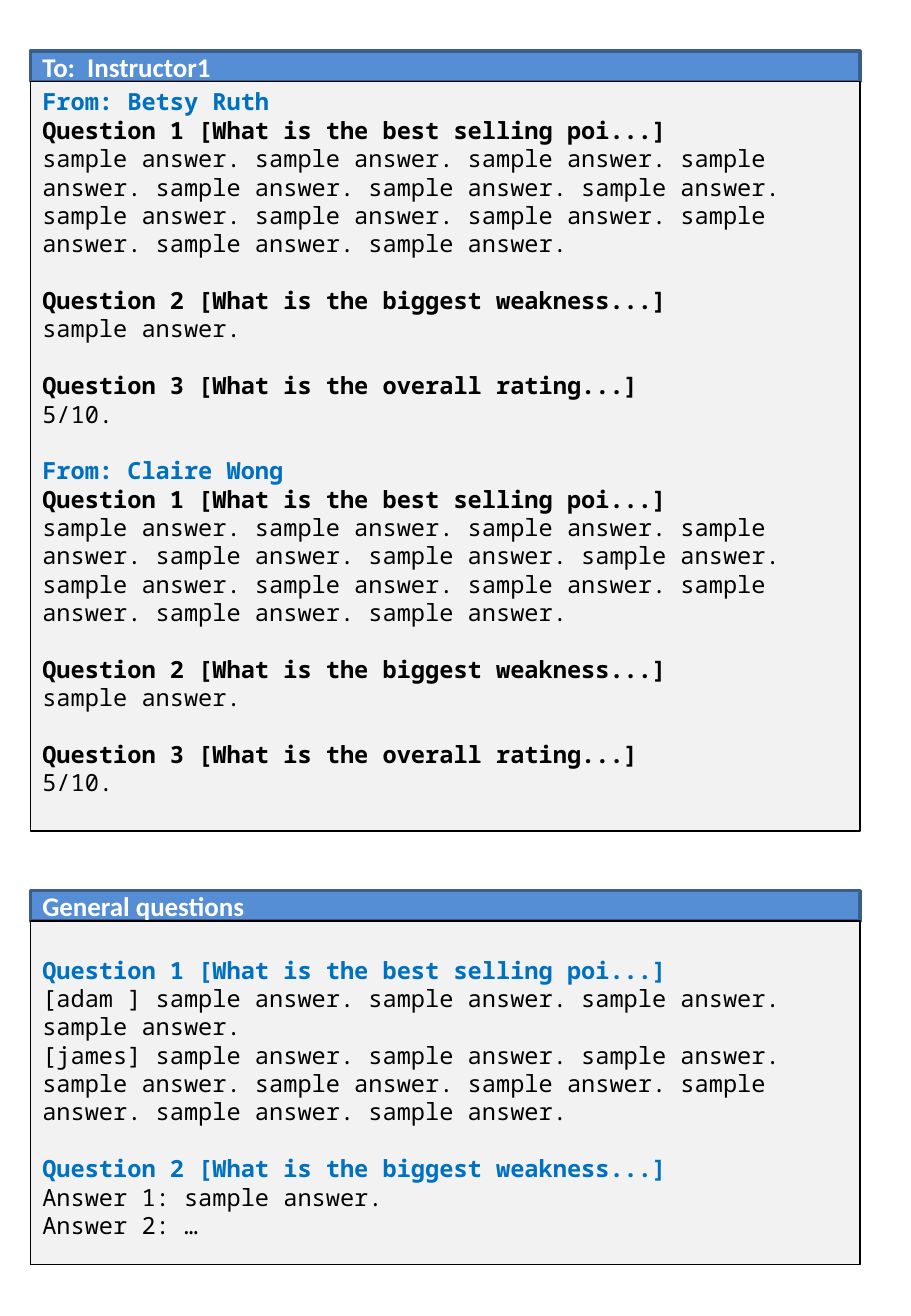
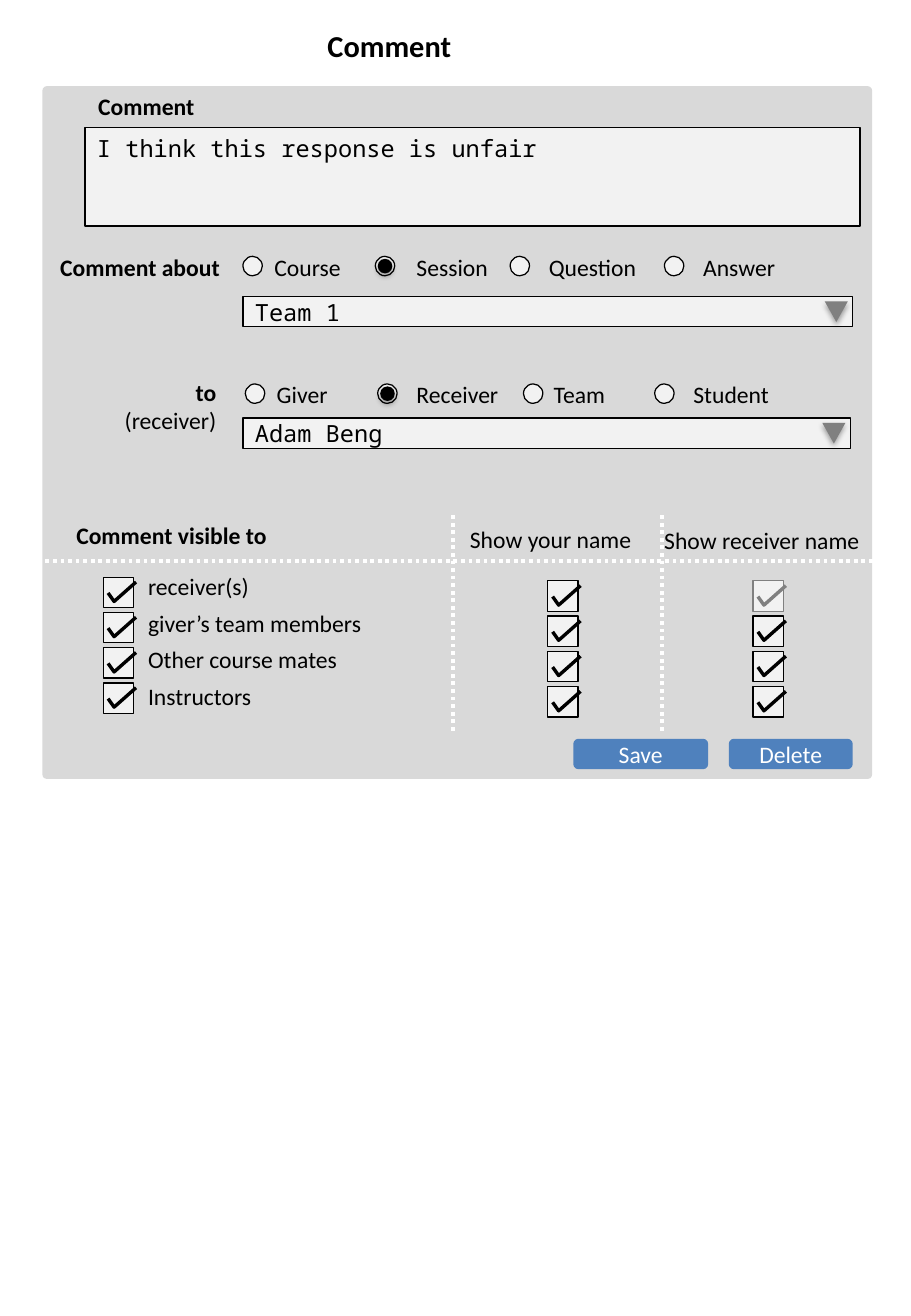
from lxml import etree
from pptx import Presentation
from pptx.dml.color import RGBColor
from pptx.enum.dml import MSO_LINE
from pptx.enum.shapes import MSO_CONNECTOR, MSO_SHAPE
from pptx.enum.text import MSO_ANCHOR, MSO_AUTO_SIZE, PP_ALIGN
from pptx.oxml.ns import qn
from pptx.util import Inches, Pt

# Enum members
RECT, ROUNDED = MSO_SHAPE.RECTANGLE, MSO_SHAPE.ROUNDED_RECTANGLE
CIRCLE, TRIANGLE = MSO_SHAPE.FLOWCHART_CONNECTOR, MSO_SHAPE.ISOSCELES_TRIANGLE
STRAIGHT, DOTTED = MSO_CONNECTOR.STRAIGHT, MSO_LINE.ROUND_DOT
TOP, MIDDLE = MSO_ANCHOR.TOP, MSO_ANCHOR.MIDDLE
LEFT, CENTER, RIGHT = PP_ALIGN.LEFT, PP_ALIGN.CENTER, PP_ALIGN.RIGHT
GROW = MSO_AUTO_SIZE.SHAPE_TO_FIT_TEXT

# Colours and fonts
BLACK = RGBColor(0x00, 0x00, 0x00)
WHITE = RGBColor(0xFF, 0xFF, 0xFF)
GREY = RGBColor(0x80, 0x80, 0x80)
PANEL_GREY = RGBColor(0xD9, 0xD9, 0xD9)
FIELD_GREY = RGBColor(0xF2, 0xF2, 0xF2)
BAND_BLUE = RGBColor(0x55, 0x8E, 0xD5)
BAND_EDGE = RGBColor(0x3A, 0x5F, 0x8C)
BUTTON_BLUE = RGBColor(0x4F, 0x81, 0xBD)
LINK_BLUE = RGBColor(0x00, 0x70, 0xC0)
SANS, MONO = "Calibri", "Noto Sans Mono"

# Measures in inches, type sizes in points
PAGE_WIDTH, PAGE_HEIGHT = 7.5, 10.83
CARD_LEFT, CARD_WIDTH = 0.25, 6.83
ROW_HEIGHT, LABEL_HEIGHT = 0.25, 0.34
BODY_SIZE, BLANK_LINE = 14, 16.8
CHECK_PITCH, LABEL_PITCH = 0.29, 0.3
RADIO_SIZE, DOT_SIZE = 0.16, 0.12

# Wording
ANSWER = "sample answer."
BEST = "Question 1 [What is the best selling poi...]"
WEAKNESS = "Question 2 [What is the biggest weakness...]"
RATING = "Question 3 [What is the overall rating...]"


def answers(count):
    return " ".join([ANSWER] * count)


def line(text, bold=False, colour=BLACK, gap=0):
    """One paragraph: its text, its look and the space before it."""
    return text, bold, colour, gap


def write(shape, lines, font=SANS, size=BODY_SIZE, align=LEFT, anchor=TOP):
    frame = shape.text_frame
    frame.word_wrap = True
    frame.vertical_anchor = anchor
    for index, (text, bold, colour, gap) in enumerate(lines):
        para = frame.add_paragraph() if index else frame.paragraphs[0]
        para.text = text
        para.alignment = align
        para.space_before = Pt(gap)
        for span in para.runs:
            span.font.name = font
            span.font.size = Pt(size)
            span.font.bold = bold
            span.font.color.rgb = colour


def add_box(shapes, kind, left, top, width, height, fill, edge=None, weight=0.75):
    box = shapes.add_shape(kind, Inches(left), Inches(top), Inches(width), Inches(height))
    box.shadow.inherit = False
    box.fill.solid()
    box.fill.fore_color.rgb = fill
    if edge is None:
        box.line.fill.background()
    else:
        box.line.color.rgb = edge
        box.line.width = Pt(weight)
    return box


def add_field(shapes, left, top, width, height, lines, anchor=TOP):
    field = add_box(shapes, RECT, left, top, width, height, FIELD_GREY, BLACK)
    write(field, lines, font=MONO, anchor=anchor)
    return field


def add_label(shapes, left, top, width, lines, height=LABEL_HEIGHT, size=BODY_SIZE, align=LEFT):
    label = shapes.add_textbox(Inches(left), Inches(top), Inches(width), Inches(height))
    label.text_frame.auto_size = GROW
    write(label, lines, size=size, align=align)


def cast_shadow(shape):
    effects = shape.element.spPr.find(qn("a:effectLst"))
    shadow = etree.SubElement(effects, qn("a:outerShdw"), blurRad="40000", dist="23000",
                              dir="5400000", rotWithShape="0")
    colour = etree.SubElement(shadow, qn("a:srgbClr"), val=str(BLACK))
    etree.SubElement(colour, qn("a:alpha"), val="35000")


def add_card(shapes, top, height, title, lines):
    """A blue title band with a text field below it."""
    band = add_box(shapes, RECT, CARD_LEFT, top, CARD_WIDTH, ROW_HEIGHT, BAND_BLUE, BAND_EDGE, 2)
    write(band, [line(title, True, WHITE)], size=16, anchor=MIDDLE)
    return add_field(shapes, CARD_LEFT, top + ROW_HEIGHT, CARD_WIDTH, height, lines)


def add_divider(shapes, x1, y1, x2, y2):
    divider = shapes.add_connector(STRAIGHT, Inches(x1), Inches(y1), Inches(x2), Inches(y2))
    divider.line.color.rgb = WHITE
    divider.line.width = Pt(2.25)
    divider.line.dash_style = DOTTED
    etree.SubElement(divider.element.spPr, qn("a:effectLst"))


def add_checkbox(shapes, left, top, colour):
    group = shapes.add_group_shape().shapes
    add_box(group, RECT, left, top, ROW_HEIGHT, ROW_HEIGHT, FIELD_GREY, colour)
    start, *others = [(Inches(left + x), Inches(top + y))
                      for x, y in ((0.04, 0.13), (0.09, 0.2), (0.27, 0.04))]
    builder = group.build_freeform(*start)
    builder.add_line_segments(others, close=False)
    tick = builder.convert_to_shape()
    tick.shadow.inherit = False
    tick.fill.background()
    tick.line.color.rgb = colour
    tick.line.width = Pt(2)


def add_radio(shapes, left, top, chosen):
    if chosen:
        shapes = shapes.add_group_shape().shapes
    add_box(shapes, CIRCLE, left, top, RADIO_SIZE, RADIO_SIZE, FIELD_GREY, BLACK)
    if chosen:
        inset = (RADIO_SIZE - DOT_SIZE) / 2
        cast_shadow(add_box(shapes, CIRCLE, left + inset, top + inset, DOT_SIZE, DOT_SIZE, BLACK))


def add_radio_row(shapes, top, chosen, options):
    for text, left, label_left in options:
        add_radio(shapes, left, top, text == chosen)
        add_label(shapes, label_left, top - 0.08, 1.08, [line(text)])


def add_dropdown(shapes, top, width, text):
    left = 2
    group = shapes.add_group_shape().shapes
    add_field(group, left, top, width, ROW_HEIGHT, [line(text)], MIDDLE)
    arrow = add_box(group, TRIANGLE, left + width - 0.23, top + 0.04, 0.19, 0.17, GREY)
    arrow.rotation = 180
    cast_shadow(arrow)


def add_button(shapes, left, width, text):
    button = add_box(shapes, ROUNDED, left, 6.08, width, ROW_HEIGHT, BUTTON_BLUE)
    write(button, [line(text, colour=WHITE)], align=CENTER, anchor=MIDDLE)


def feedback_from(name, gap=0):
    return [
        line(f"From: {name}", True, LINK_BLUE, gap),
        line(BEST, True),
        line(answers(13)),
        line(WEAKNESS, True, gap=BLANK_LINE),
        line(ANSWER),
        line(RATING, True, gap=BLANK_LINE),
        line("5/10."),
    ]


def build_feedback(shapes):
    add_card(shapes, 0.42, 6.17, "To:  Instructor1",
             feedback_from("Betsy Ruth") + feedback_from("Claire Wong", BLANK_LINE))
    general = add_card(shapes, 7.33, 2.83, "General questions", [
        line(BEST, True, LINK_BLUE),
        line("[adam ] " + answers(4)),
        line("[james] " + answers(9)),
        line(WEAKNESS, True, LINK_BLUE, BLANK_LINE),
        line("Answer 1: " + ANSWER),
        line("Answer 2: …"),
    ])
    general.text_frame.margin_top = Inches(0.05) + Pt(BLANK_LINE)


def build_comment_form(shapes):
    add_label(shapes, 1.33, 0.17, 3.75, [line("Comment", True)], 0.42, 18, CENTER)
    panel = add_box(shapes, ROUNDED, 0.35, 0.71, CARD_WIDTH, 5.7, PANEL_GREY)
    panel.adjustments[0] = 0.006

    # Comment text
    add_label(shapes, 0.37, 0.71, 1.33, [line("Comment", True)], align=RIGHT)
    add_field(shapes, 0.7, 1.05, 6.38, 0.81, [line("I think this response is unfair")])

    # Subject and receiver
    add_label(shapes, 0.37, 2.03, 1.54, [line("Comment about", True)], align=RIGHT)
    add_radio_row(shapes, 2.11, "Session", [
        ("Course", 2, 2.16), ("Session", 3.09, 3.33),
        ("Question", 4.2, 4.42), ("Answer", 5.47, 5.69)])
    add_dropdown(shapes, 2.44, 5.02, "Team 1")
    add_label(shapes, 0.9, 3.06, 0.98, [line("to", True), line("(receiver)")], 0.57, align=RIGHT)
    add_radio_row(shapes, 3.16, "Receiver", [
        ("Giver", 2.02, 2.18), ("Receiver", 3.11, 3.33),
        ("Team", 4.31, 4.46), ("Student", 5.39, 5.61)])
    add_dropdown(shapes, 3.44, 5, "Adam Beng")

    # Visibility grid
    add_label(shapes, 0.53, 4.24, 2.36, [line("Comment visible to", True)])
    add_label(shapes, 3.77, 4.27, 1.84, [line("Show your name")])
    add_label(shapes, 5.37, 4.28, 2.05, [line("Show receiver name")])
    add_divider(shapes, 0.25, 4.62, 7.25, 4.62)
    for x in (3.73, 5.45):
        add_divider(shapes, x, 4.24, x, 6.03)
    audiences = ("receiver(s)", "giver’s team members", "Other course mates", "Instructors")
    check_columns = ((0.85, 4.75), (4.51, 4.78), (6.2, 4.78))
    for row, audience in enumerate(audiences):
        add_label(shapes, 1.12, 4.66 + row * LABEL_PITCH, 2.41, [line(audience)])
        for column, (left, top) in enumerate(check_columns):
            disabled = row == 0 and column == 2
            add_checkbox(shapes, left, top + row * CHECK_PITCH, GREY if disabled else BLACK)

    # Buttons
    add_button(shapes, 4.72, 1.11, "Save")
    add_button(shapes, 6, 1.02, "Delete")


def main():
    deck = Presentation()
    deck.slide_width, deck.slide_height = Inches(PAGE_WIDTH), Inches(PAGE_HEIGHT)
    for build in (build_feedback, build_comment_form):
        page = deck.slides.add_slide(deck.slide_layouts[6])
        build(page.shapes)
    deck.save("out.pptx")


if __name__ == "__main__":
    main()
